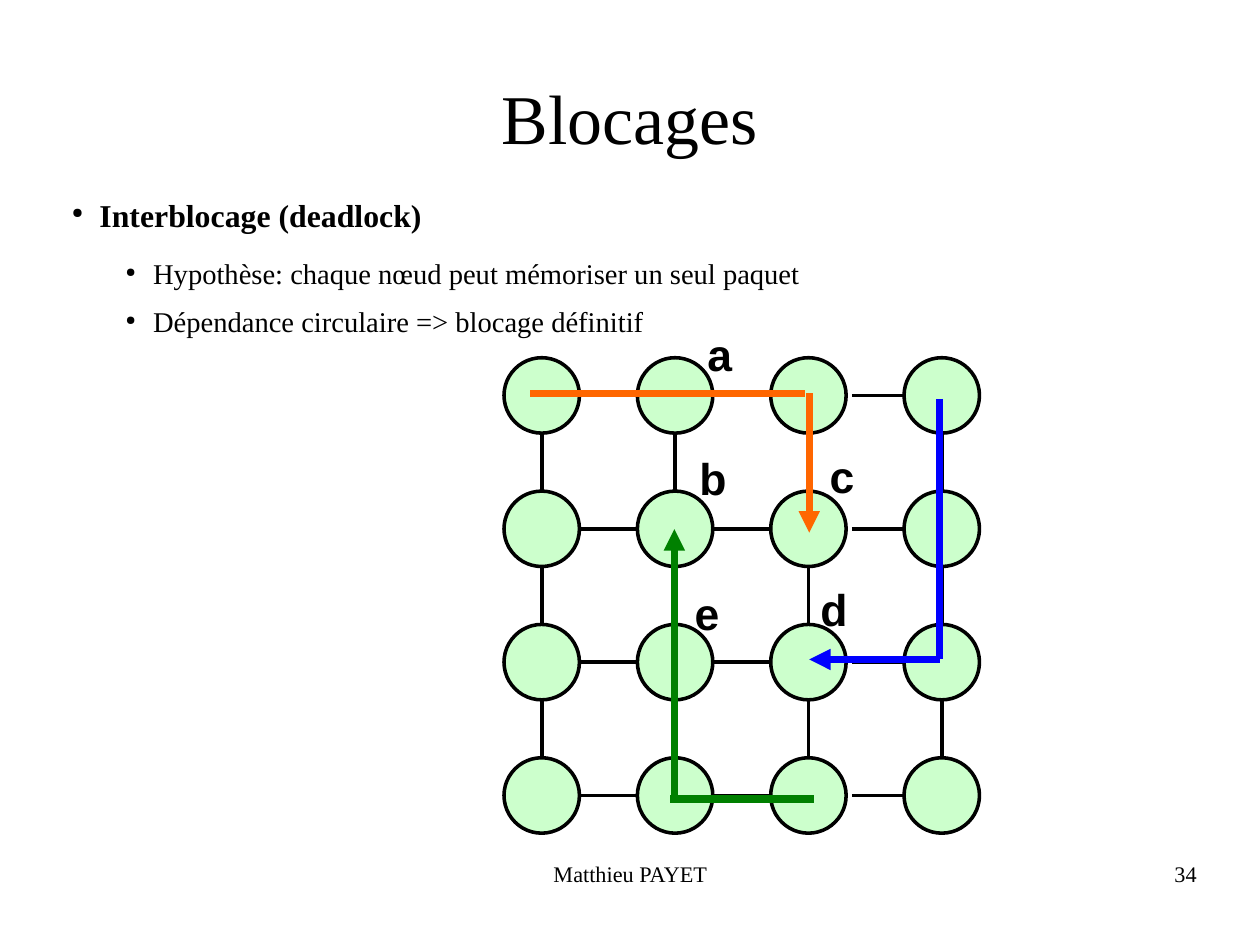
from lxml import etree
from pptx import Presentation
from pptx.dml.color import RGBColor
from pptx.enum import shapes, text
from pptx.oxml.ns import qn
from pptx.util import Inches, Pt

BLACK = RGBColor(0x00, 0x00, 0x00)
NODE_GREEN = RGBColor(0xCC, 0xFF, 0xCC)
ORANGE = RGBColor(0xFF, 0x66, 0x00)
BLUE = RGBColor(0x00, 0x00, 0xFF)
GREEN = RGBColor(0x00, 0x80, 0x00)
SERIF = "Times New Roman"
SANS = "Arial"

CM_PER_INCH = 2.54
GRID_SIZE = 4
NODE = 0.66
PITCH = 3.5 / 3
POINTS = [
    (1, "Interblocage (deadlock)"),
    (2, "Hypothèse: chaque nœud peut mémoriser un seul paquet"),
    (2, "Dépendance circulaire => blocage définitif"),
]
POINT_STYLES = {1: (20, True, 0.24, 14.2), 2: (18, False, 0.71, 8.5)}
ROUTES = [
    (ORANGE, (0.23, 0.31, 2.63, 0.31), (2.67, 0.31, 2.67, 1.53)),
    (BLUE, (3.81, 0.36, 3.81, 2.64), (3.81, 2.64, 2.67, 2.64)),
    (GREEN, (2.71, 3.86, 1.45, 3.86), (1.49, 3.86, 1.49, 1.5)),
]
LABELS = [
    ("a", 1.68, -0.32, 0.76),
    ("b", 1.61, 0.77, 0.94),
    ("c", 2.75, 0.75, 1.18),
    ("d", 2.67, 1.91, 1.77),
    ("e", 1.57, 1.95, 1.37),
]


def style_font(paragraph, size, name=SERIF, bold=False):
    """Set the font of a whole paragraph."""
    font = paragraph.font
    font.size, font.name, font.bold = Pt(size), name, bold
    font.color.rgb = BLACK


def add_frame(slide, box, inset=(0, 0)):
    """Add a wrapping text box and return its text frame."""
    frame = slide.shapes.add_textbox(*map(Inches, box)).text_frame
    frame.word_wrap = True
    frame.margin_left = frame.margin_right = Inches(inset[0])
    frame.margin_top = frame.margin_bottom = Inches(inset[1])
    return frame


def add_line(slide, ends, color, width, arrow=False):
    """Draw a straight line between two points, with an optional arrowhead."""
    line = slide.shapes.add_connector(
        shapes.MSO_CONNECTOR.STRAIGHT, *map(Inches, ends))
    line.line.color.rgb = color
    line.line.width = Pt(width)
    properties = line._element.spPr
    if arrow:
        etree.SubElement(properties.find(qn("a:ln")), qn("a:tailEnd"), type="triangle")
    etree.SubElement(properties, qn("a:effectLst"))


def add_caption(slide, box, words, size, align):
    """Place one line of serif text in the box."""
    frame = add_frame(slide, box)
    paragraph = frame.paragraphs[0]
    paragraph.text = words
    paragraph.alignment = align
    style_font(paragraph, size)
    return frame


def add_points(slide, box):
    """Write the bulleted statement of the deadlock."""
    frame = add_frame(slide, box)
    for index, (level, words) in enumerate(POINTS):
        size, bold, indent, gap = POINT_STYLES[level]
        point = frame.add_paragraph() if index else frame.paragraphs[0]
        point.text = words
        point.level = level - 1
        point.space_after = Pt(gap)
        style_font(point, size, bold=bold)
        properties = point._p.get_or_add_pPr()
        properties.set("marL", str(Inches(indent)))
        properties.set("indent", str(Inches(-0.24)))
        default_font = properties.find(qn("a:defRPr"))
        default_font.addprevious(etree.Element(qn("a:buSzPct"), val="45000"))
        default_font.addprevious(etree.Element(qn("a:buChar"), char="●"))


def add_nodes(slide, left, top):
    """Draw the grid of nodes and the links between neighbours."""
    middle = NODE / 2
    for row in range(GRID_SIZE):
        for column in range(GRID_SIZE):
            x, y = left + column * PITCH, top + row * PITCH
            node = slide.shapes.add_shape(
                shapes.MSO_SHAPE.OVAL, *map(Inches, (x, y, NODE, NODE)))
            node.shadow.inherit = False
            node.fill.solid()
            node.fill.fore_color.rgb = NODE_GREEN
            node.line.color.rgb = BLACK
            node.line.width = Pt(2.25)
            if column < GRID_SIZE - 1:
                gap = 0.05 if column == GRID_SIZE - 2 else 0
                add_line(slide, (x + NODE + gap, y + middle, x + PITCH, y + middle),
                         BLACK, 2.25)
            if row < GRID_SIZE - 1:
                add_line(slide, (x + middle, y + PITCH, x + middle, y + NODE),
                         BLACK, 2.25)


def add_network(slide, box):
    """Draw the network with its three blocked routes and their labels."""
    left, top = box
    add_nodes(slide, left, top)
    for color, first_leg, last_leg in ROUTES:
        for leg in (first_leg, last_leg):
            x1, y1, x2, y2 = leg
            add_line(slide, (left + x1, top + y1, left + x2, top + y2),
                     color, 4.5, arrow=leg is last_leg)
    for letter, x, y, width in LABELS:
        frame = add_frame(slide, (left + x, top + y, width, 0.57), (0.1, 0.05))
        frame.text = letter
        style_font(frame.paragraphs[0], 28, SANS, True)


def main():
    """Build the slide and save it."""
    deck = Presentation()
    deck.slide_width = Inches(28 / CM_PER_INCH)
    deck.slide_height = Inches(21 / CM_PER_INCH)
    slide = deck.slides.add_slide(deck.slide_layouts[6])
    title = add_caption(slide, (0.55, 0.33, 9.92, 1.38), "Blocages", 44,
                        text.PP_ALIGN.CENTER)
    title.vertical_anchor = text.MSO_ANCHOR.MIDDLE
    add_points(slide, (0.63, 1.71, 9.05, 1.4))
    add_network(slide, (4.41, 3.13))
    add_caption(slide, (3.77, 7.53, 3.49, 0.57), "Matthieu PAYET", 14,
                text.PP_ALIGN.CENTER)
    add_caption(slide, (7.9, 7.53, 2.57, 0.57), "34", 14, text.PP_ALIGN.RIGHT)
    deck.save("out.pptx")


if __name__ == "__main__":
    main()
